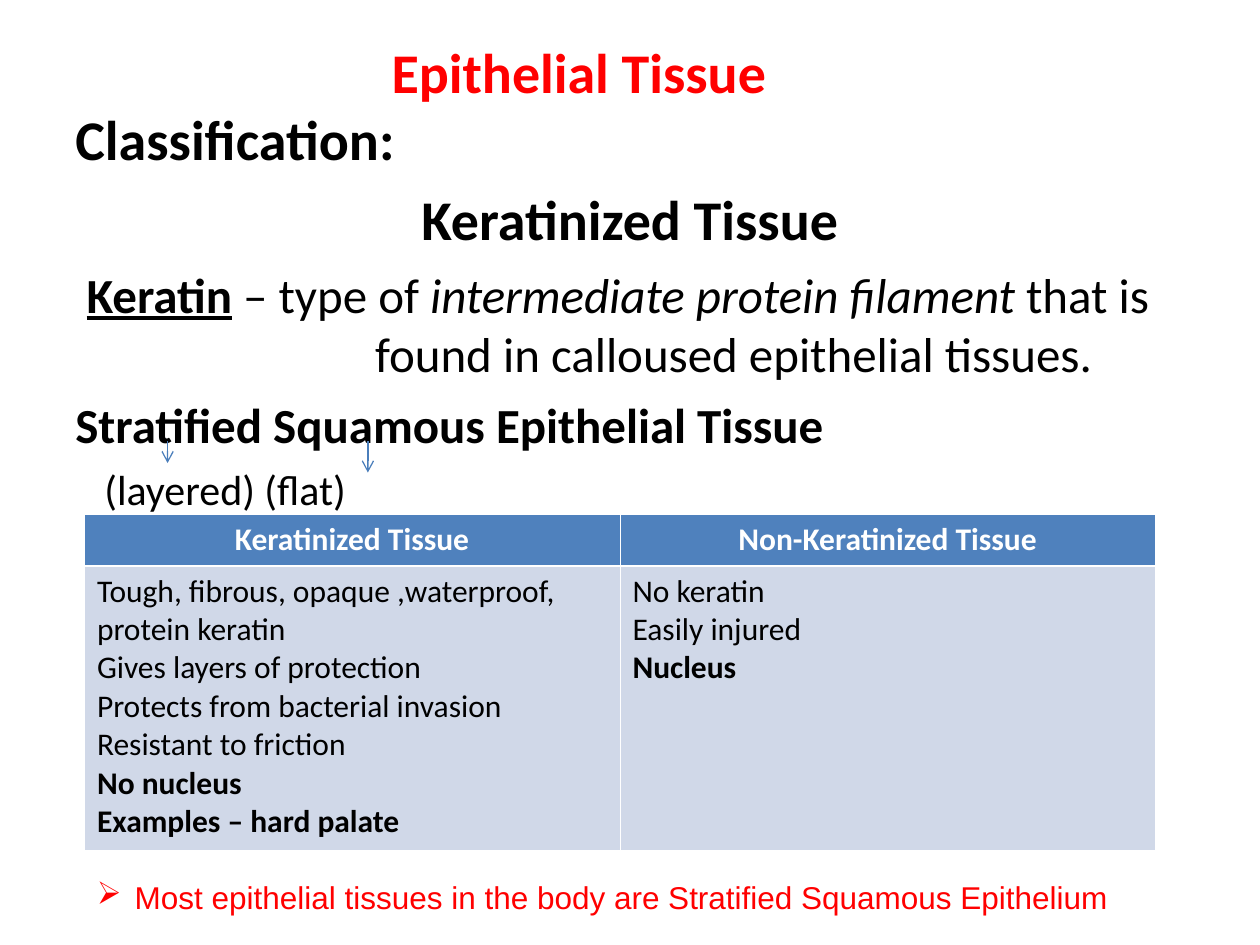
from dataclasses import dataclass

from lxml import etree
from pptx import Presentation
from pptx import util as u
from pptx.dml.color import RGBColor
from pptx.enum import shapes, text
from pptx.oxml import ns

W, H = u.Inches(10), u.Inches(7.5)
RED = RGBColor(0xFF, 0, 0)
BLACK = RGBColor(0, 0, 0)
WHITE = RGBColor(0xFF, 0xFF, 0xFF)
HEADER_BLUE = RGBColor(0x4F, 0x81, 0xBD)
BODY_BLUE = RGBColor(0xD0, 0xD8, 0xE8)
ARROW_BLUE = RGBColor(0x4A, 0x7E, 0xBB)
THIN, THICK = 0.45, 1.47


@dataclass(frozen=True)
class Run:
    text: str
    bold: bool = False
    italic: bool = False
    underline: bool = False
    new_line: bool = False


@dataclass(frozen=True)
class Para:
    """A paragraph; margin, indent and tab are inches, before and size points."""
    runs: tuple[Run, ...]
    size: float
    color: RGBColor = BLACK
    font: str = "Calibri"
    align: text.PP_ALIGN = text.PP_ALIGN.LEFT
    before: float = 0
    margin: float = 0
    indent: float = 0
    tab: float | None = None
    bullet: str | None = None


@dataclass(frozen=True)
class Arrow:
    """A downward arrow in shares of the slide's size."""
    x: float
    top: float
    bottom: float


def add_child(parent, tag: str, **attrs: str):
    return etree.SubElement(parent, ns.qn(tag), attrs)


def write_para(p, para: Para) -> None:
    pPr = p._p.get_or_add_pPr()
    pPr.set("marL", str(u.Inches(para.margin)))
    pPr.set("indent", str(u.Inches(para.indent)))
    if para.bullet:
        color = add_child(pPr, "a:buClr")
        add_child(color, "a:srgbClr", val=str(para.color))
        add_child(pPr, "a:buChar", char=para.bullet)
    if para.tab is not None:
        tabs = add_child(pPr, "a:tabLst")
        add_child(tabs, "a:tab", pos=str(u.Inches(para.tab)), algn="l")
    p.alignment = para.align
    p.space_before = u.Pt(para.before)
    for run in para.runs:
        if run.new_line:
            p.add_line_break()
        r = p.add_run()
        r.text = run.text
        f = r.font
        f.name, f.size, f.color.rgb = para.font, u.Pt(para.size), para.color
        f.bold, f.italic, f.underline = run.bold, run.italic, run.underline


def write_paras(tf, paras: list[Para]) -> None:
    for i, para in enumerate(paras):
        write_para(tf.add_paragraph() if i else tf.paragraphs[0], para)


def add_text(s, box: tuple[float, float, float, float], paras: list[Para],
             anchor=text.MSO_ANCHOR.TOP) -> None:
    """Add a text box; box is left, top, width, height in slide shares."""
    x, y, w, h = box
    sp = s.shapes.add_textbox(round(W * x), round(H * y), round(W * w), round(H * h))
    tf = sp.text_frame
    tf.word_wrap = True
    tf.vertical_anchor = anchor
    write_paras(tf, paras)


def add_arrow(s, arrow: Arrow) -> None:
    x = round(W * arrow.x)
    cx = s.shapes.add_connector(shapes.MSO_CONNECTOR.STRAIGHT, x, round(H * arrow.top),
                                x, round(H * arrow.bottom))
    cx.line.color.rgb = ARROW_BLUE
    cx.line.width = u.Pt(0.75)
    add_child(cx.line._get_or_add_ln(), "a:tailEnd", type="arrow")
    add_child(cx._element.spPr, "a:effectLst")


def set_borders(cell, top: float, bottom: float) -> None:
    tcPr = cell._tc.get_or_add_tcPr()
    widths = {"a:lnL": THIN, "a:lnR": THIN, "a:lnT": top, "a:lnB": bottom}
    for i, (tag, width) in enumerate(widths.items()):
        ln = etree.Element(ns.qn(tag), w=str(u.Pt(width)))
        add_child(add_child(ln, "a:solidFill"), "a:srgbClr", val=str(WHITE))
        tcPr.insert(i, ln)


def add_comparison(s, columns: dict[str, list[Run]]) -> None:
    heights = u.Inches(0.41), u.Inches(2.26)
    table = s.shapes.add_table(2, len(columns), round(W * 0.067), round(H * 0.544),
                               round(W * 0.85), sum(heights)).table
    for row, height in zip(table.rows, heights):
        row.height = height
    for col, (heading, items) in enumerate(columns.items()):
        head, body = table.cell(0, col), table.cell(1, col)
        write_paras(head.text_frame, [Para((Run(heading, bold=True),), 18, WHITE,
                                           align=text.PP_ALIGN.CENTER)])
        write_paras(body.text_frame, [Para((item,), 18) for item in items])
        for cell, fill, top, bottom in ((head, HEADER_BLUE, THIN, THICK),
                                        (body, BODY_BLUE, THICK, THIN)):
            cell.fill.solid()
            cell.fill.fore_color.rgb = fill
            set_borders(cell, top, bottom)


TITLE = [
    Para((Run("Epithelial Tissue", bold=True),), 32, RED, margin=2.51),
    Para((Run("Classification:", bold=True),), 32),
]
BODY = [
    Para((Run("Keratinized Tissue", bold=True),), 32, align=text.PP_ALIGN.CENTER),
    Para((Run("Keratin", bold=True, underline=True), Run(" – type of "),
          Run("intermediate protein filament ", italic=True), Run("that is"),
          Run("found in calloused epithelial tissues.", new_line=True)),
         28, before=7, margin=2.38, indent=-2.29),
    Para((Run("Stratified Squamous Epithelial Tissue", bold=True),), 28, before=7),
    Para((Run("(layered)\t(flat)"),), 24, before=6, indent=0.23, tab=2.46),
]
COMPARISON = {
    "Keratinized Tissue": [
        Run("Tough, fibrous, opaque ,waterproof, protein keratin"),
        Run("Gives layers of protection"),
        Run("Protects from bacterial invasion"),
        Run("Resistant to friction"),
        Run("No nucleus", bold=True),
        Run("Examples – hard palate", bold=True),
    ],
    "Non-Keratinized Tissue": [
        Run("No keratin"), Run("Easily injured"), Run("Nucleus", bold=True),
    ],
}
NOTE = [Para((Run("Most epithelial tissues in the body are Stratified Squamous Epithelium"),),
             18, RED, "Arial", margin=0.3, indent=-0.3, bullet="➢")]
ARROWS = [Arrow(0.133, 0.467, 0.49), Arrow(0.292, 0.467, 0.5)]


def main() -> None:
    prs = Presentation()
    prs.slide_width, prs.slide_height = W, H
    s = prs.slides.add_slide(prs.slide_layouts[6])
    add_text(s, (0.05, 0.033, 0.9, 0.156), TITLE, text.MSO_ANCHOR.MIDDLE)
    add_text(s, (0.05, 0.189, 0.9, 0.811), BODY)
    add_comparison(s, COMPARISON)
    for arrow in ARROWS:
        add_arrow(s, arrow)
    add_text(s, (0.067, 0.923, 0.858, 0.053), NOTE)
    prs.save("out.pptx")


if __name__ == "__main__":
    main()
